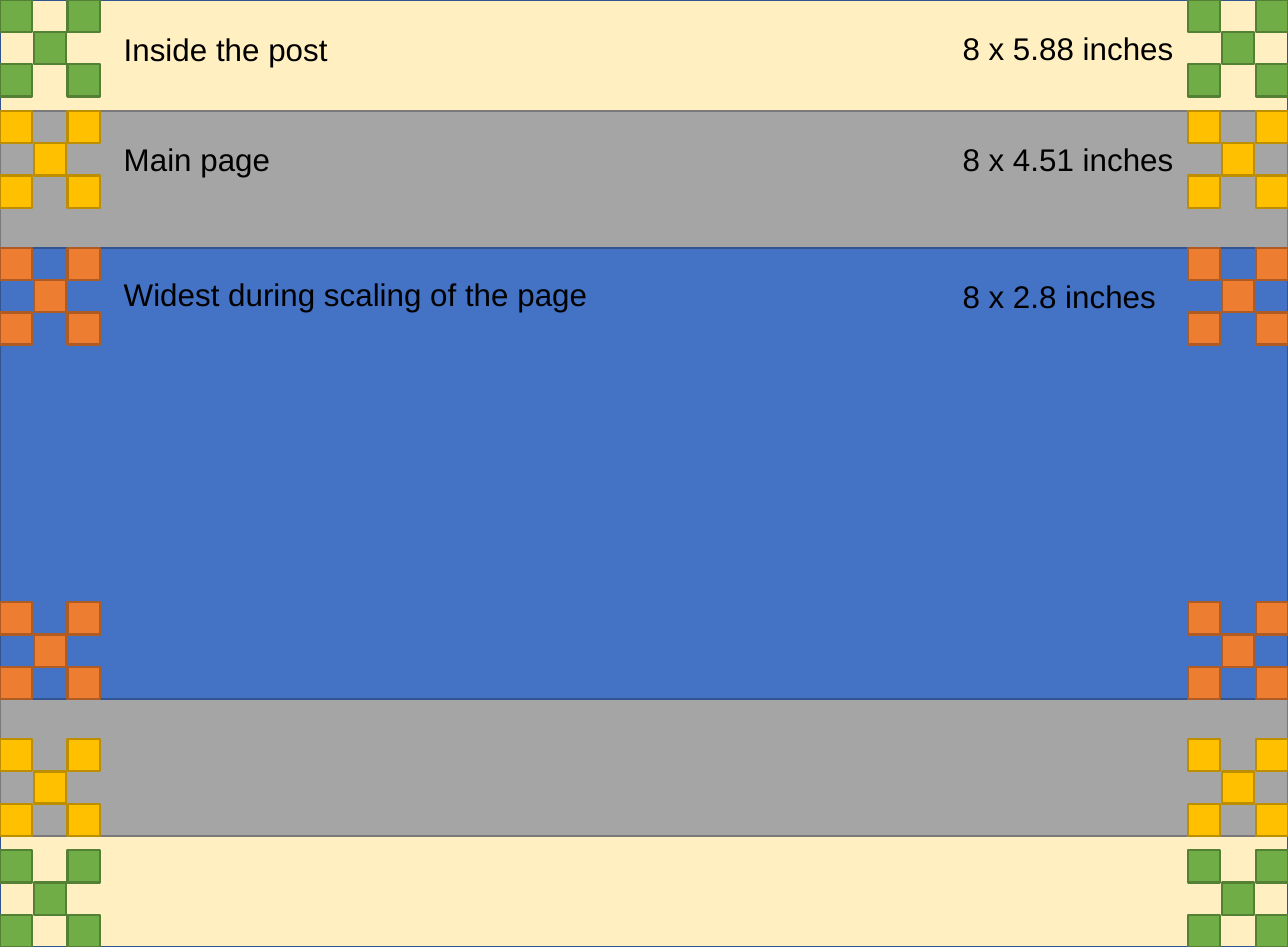
from lxml import etree
from pptx import Presentation
from pptx.dml.color import RGBColor
from pptx.enum.shapes import MSO_SHAPE
from pptx.enum.text import MSO_AUTO_SIZE
from pptx.oxml.ns import qn
from pptx.util import Inches, Pt

RECT = MSO_SHAPE.RECTANGLE
FIT_SHAPE = MSO_AUTO_SIZE.SHAPE_TO_FIT_TEXT

BLACK = RGBColor(0x00, 0x00, 0x00)
CREAM = RGBColor(0xFF, 0xD9, 0x66)
GRAY = RGBColor(0xA5, 0xA5, 0xA5)
GRAY_EDGE = RGBColor(0x7A, 0x7A, 0x7A)
BLUE = RGBColor(0x44, 0x72, 0xC4)
BLUE_EDGE = RGBColor(0x32, 0x54, 0x91)
GREEN = RGBColor(0x70, 0xAD, 0x47)
GREEN_EDGE = RGBColor(0x53, 0x80, 0x35)
GOLD = RGBColor(0xFF, 0xC0, 0x00)
GOLD_EDGE = RGBColor(0xBD, 0x8E, 0x00)
ORANGE = RGBColor(0xED, 0x7D, 0x31)
ORANGE_EDGE = RGBColor(0xAF, 0x5C, 0x24)

WIDTH, HEIGHT = 8, 5.88
SQUARE = 0.2
STEP_X, STEP_Y = 0.21, 0.2
MARK_WIDTH, MARK_HEIGHT = 0.62, 0.6
CHECKER = [(0, 0), (2, 0), (1, 1), (0, 2), (2, 2)]  # column, row


def add_rect(shapes, x, y, w, h, fill, edge):
    """Add a filled rectangle with a 1 pt outline."""
    sp = shapes.add_shape(RECT, Inches(x), Inches(y), Inches(w), Inches(h))
    sp.shadow.inherit = False
    sp.fill.solid()
    sp.fill.fore_color.rgb = fill
    sp.line.color.rgb = edge
    sp.line.width = Pt(1)
    return sp


def add_label(shapes, x, y, w, text):
    """Add a one-line label."""
    tb = shapes.add_textbox(Inches(x), Inches(y), Inches(w), Inches(0.34))
    tf = tb.text_frame
    tf.word_wrap = False
    tf.auto_size = FIT_SHAPE
    r = tf.paragraphs[0].add_run()
    r.text = text
    for name, value in {"name": "Arial", "size": Pt(14)}.items():
        setattr(r.font, name, value)
    r.font.color.rgb = BLACK


prs = Presentation()
prs.slide_width, prs.slide_height = Inches(WIDTH), Inches(HEIGHT)
s = prs.slides.add_slide(prs.slide_layouts[6])

# Nested page areas, the outermost one translucent
page = add_rect(s.shapes, 0, 0, WIDTH, HEIGHT, CREAM, BLUE_EDGE)
color = page.fill._xPr.find(qn("a:solidFill"))[0]
etree.SubElement(color, qn("a:alpha")).set("val", "40000")
add_rect(s.shapes, 0, 0.69, WIDTH, 4.5, GRAY, GRAY_EDGE)
add_rect(s.shapes, 0, 1.54, WIDTH, 2.8, BLUE, BLUE_EDGE)

# Checkered marks in the four corners of each area
areas = [
    (0, HEIGHT, GREEN, GREEN_EDGE),
    (0.69, 5.19, GOLD, GOLD_EDGE),
    (1.54, 4.34, ORANGE, ORANGE_EDGE),
]
for top, bottom, fill, edge in areas:
    for x in (0, WIDTH - MARK_WIDTH):
        for y in (top, bottom - MARK_HEIGHT):
            mark = s.shapes.add_group_shape()
            for col, row in CHECKER:
                add_rect(mark.shapes, x + col * STEP_X, y + row * STEP_Y,
                         SQUARE, SQUARE, fill, edge)

labels = [
    (0.67, 0.14, 1.47, "Inside the post"),
    (0.67, 0.82, 1.12, "Main page"),
    (0.67, 1.66, 3.1, "Widest during scaling of the page"),
    (5.88, 0.13, 1.52, "8 x 5.88 inches"),
    (5.88, 0.82, 1.52, "8 x 4.51 inches"),
    (5.88, 1.67, 1.41, "8 x 2.8 inches"),
]
for label in labels:
    add_label(s.shapes, *label)

prs.save("out.pptx")
